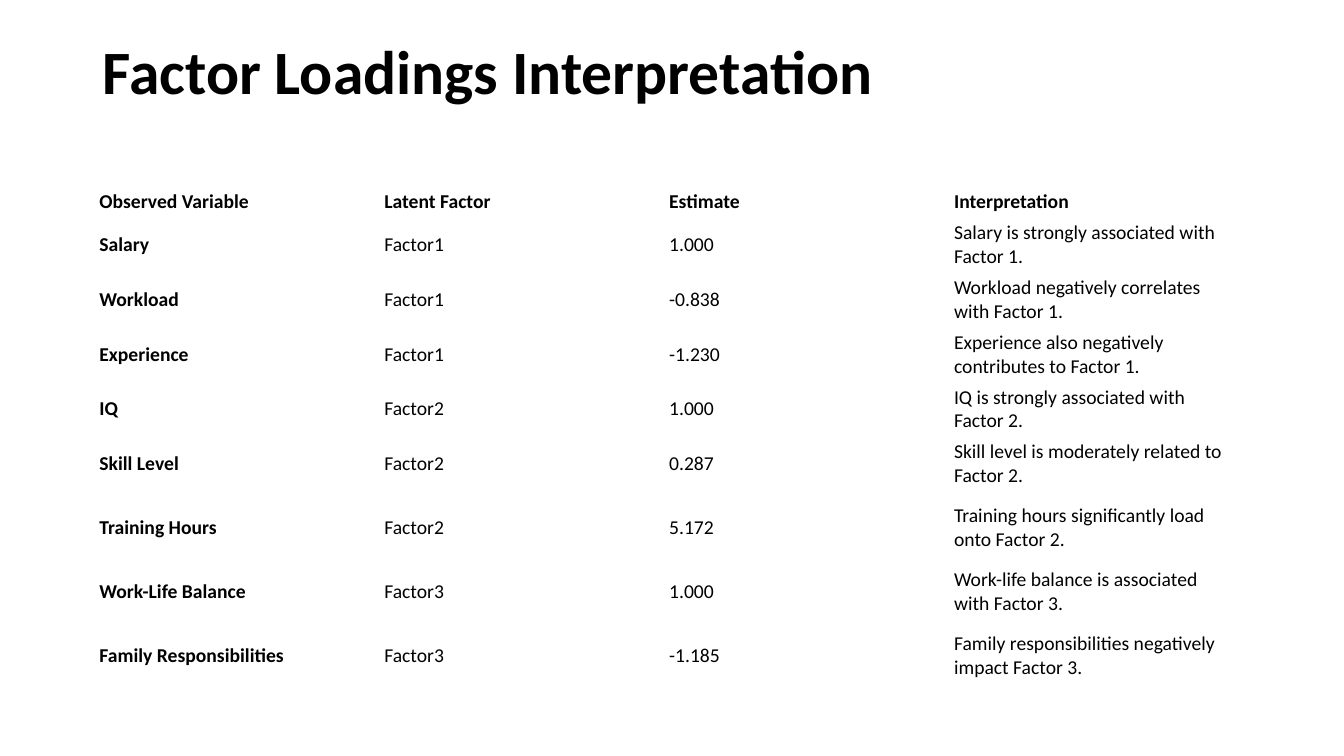
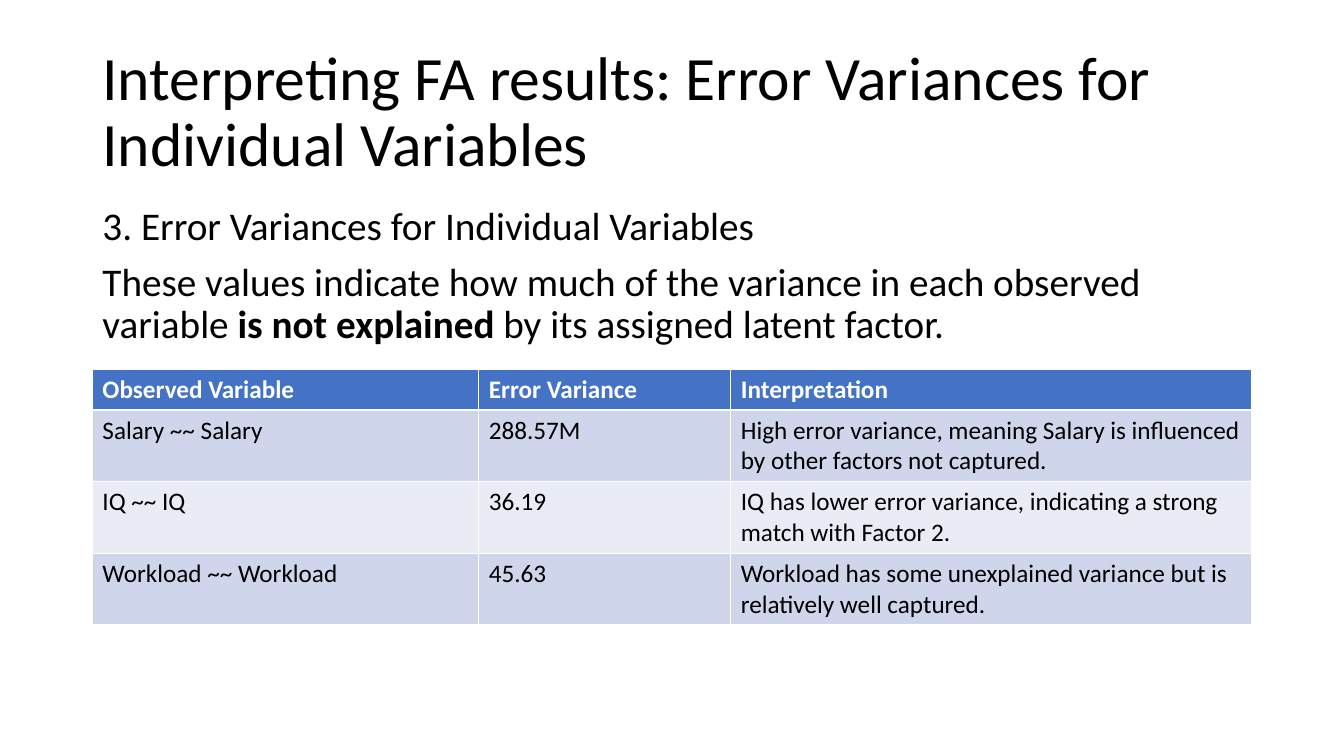
from lxml import etree
from pptx import Presentation
from pptx.dml.color import RGBColor
from pptx.enum import text as tx
from pptx.oxml import ns
from pptx.util import Pt

FONT = "Calibri"
HUES = {"ink": "000000", "white": "FFFFFF", "head": "4472C4",
        "odd": "CFD5EA", "even": "E9EBF5"}
LEFT, WIDE = 66, 828
TITLE = (LEFT, 28.75, WIDE, 104.4)
BODY = (LEFT, 143.75, WIDE, 342.6)

LOADS = [
    ("Observed Variable", "Latent Factor", "Estimate", "Interpretation"),
    ("Salary", "Factor1", "1.000", "Salary is strongly associated with Factor 1."),
    ("Workload", "Factor1", "-0.838", "Workload negatively correlates with Factor 1."),
    ("Experience", "Factor1", "-1.230",
     "Experience also negatively contributes to Factor 1."),
    ("IQ", "Factor2", "1.000", "IQ is strongly associated with Factor 2."),
    ("Skill Level", "Factor2", "0.287", "Skill level is moderately related to Factor 2."),
    ("Training Hours", "Factor2", "5.172",
     "Training hours significantly load onto Factor 2."),
    ("Work-Life Balance", "Factor3", "1.000",
     "Work-life balance is associated with Factor 3."),
    ("Family Responsibilities", "Factor3", "-1.185",
     "Family responsibilities negatively impact Factor 3."),
]
ERRORS = [
    ("Observed Variable", "Error Variance", "Interpretation"),
    ("Salary ~~ Salary", "288.57M",
     "High error variance, meaning Salary is influenced by other factors not captured."),
    ("IQ ~~ IQ", "36.19",
     "IQ has lower error variance, indicating a strong match with Factor 2."),
    ("Workload ~~ Workload", "45.63",
     "Workload has some unexplained variance but is relatively well captured."),
]
NOTES = [
    [("3. Error Variances for Individual Variables", False)],
    [("These values indicate how much of the variance in each observed variable ", False),
     ("is not explained", True),
     (" by its assigned latent factor.", False)],
]


def style(run, size, bold=False, hue="ink"):
    """Set the font of a run."""
    font = run.font
    font.name, font.size, font.bold = FONT, Pt(size), bold
    font.color.rgb = RGBColor.from_string(HUES[hue])


def place(shape, box):
    """Move a shape to a box given in points."""
    shape.left, shape.top, shape.width, shape.height = map(Pt, box)


def add_title(slide, words, bold=False):
    """Fill the title placeholder."""
    shape = slide.shapes.title
    place(shape, TITLE)
    frame = shape.text_frame
    frame.text = words
    frame.auto_size = tx.MSO_AUTO_SIZE.NONE
    frame.vertical_anchor = tx.MSO_ANCHOR.MIDDLE
    para = frame.paragraphs[0]
    para.alignment, para.line_spacing = tx.PP_ALIGN.LEFT, 0.9
    style(para.runs[0], 44, bold)
    return frame


def add_body(slide, box, paras):
    """Fill the body placeholder with unbulleted paragraphs."""
    shape = slide.placeholders[1]
    place(shape, box)
    frame = shape.text_frame
    frame.auto_size = tx.MSO_AUTO_SIZE.NONE
    for i, parts in enumerate(paras):
        para = frame.add_paragraph() if i else frame.paragraphs[0]
        para.line_spacing, para.space_before = 0.9, Pt(10)
        for words, bold in parts:
            run = para.add_run()
            run.text = words
            style(run, 28, bold)
        props = para._p.get_or_add_pPr()
        props.set("marL", "0")
        props.set("indent", "0")
        etree.SubElement(props, ns.qn("a:buNone"))


def add_grid(slide, top, data, cols, rows, dress):
    """Add a table whose cells are finished by the dress function."""
    frame = slide.shapes.add_table(len(data), len(cols), Pt(LEFT), Pt(top),
                                   Pt(sum(cols)), Pt(sum(rows)))
    grid = frame.table
    for col, size in zip(grid.columns, cols):
        col.width = Pt(size)
    for row, size in zip(grid.rows, rows):
        row.height = Pt(size)
    for r, line in enumerate(data):
        for c, words in enumerate(line):
            cell = grid.cell(r, c)
            cell.text_frame.text = words
            dress(cell, cell.text_frame.paragraphs[0].runs[0], r, c)
    return grid


def dress_plain(cell, run, r, c):
    """Give a cell no fill, with bold in the first row and column."""
    cell.fill.background()
    cell.vertical_anchor = tx.MSO_ANCHOR.MIDDLE
    cell.margin_left = cell.margin_right = Pt(5)
    cell.margin_top = cell.margin_bottom = Pt(2.55)
    style(run, 14, r == 0 or c == 0)


def dress_band(cell, run, r, c):
    """Give a cell the header fill or a band fill."""
    band = "head" if r == 0 else "odd" if r % 2 else "even"
    cell.fill.solid()
    cell.fill.fore_color.rgb = RGBColor.from_string(HUES[band])
    style(run, 18, r == 0, "ink" if r else "white")


def show_loads(deck):
    """Build the slide of factor loadings."""
    slide = deck.slides.add_slide(deck.slide_layouts[5])
    frame = add_title(slide, "Factor Loadings Interpretation", True)
    frame.vertical_anchor = tx.MSO_ANCHOR.TOP
    frame.margin_top = Pt(1)
    rows = [21] + [36] * 5 + [52, 36, 52]
    grid = add_grid(slide, 133.2, LOADS, [203.5] * 4, rows, dress_plain)
    grid.first_row = grid.horz_banding = False


def show_errors(deck):
    """Build the slide of error variances."""
    slide = deck.slides.add_slide(deck.slide_layouts[1])
    add_title(slide, "Interpreting FA results: Error Variances for Individual Variables")
    add_body(slide, BODY, NOTES)
    add_grid(slide, 263.7, ERRORS, [276, 180, 372], [29.2] * 4, dress_band)


def main():
    """Build and save the deck."""
    deck = Presentation()
    deck.slide_width, deck.slide_height = Pt(960), Pt(540)
    show_loads(deck)
    show_errors(deck)
    deck.save("out.pptx")


if __name__ == "__main__":
    main()
